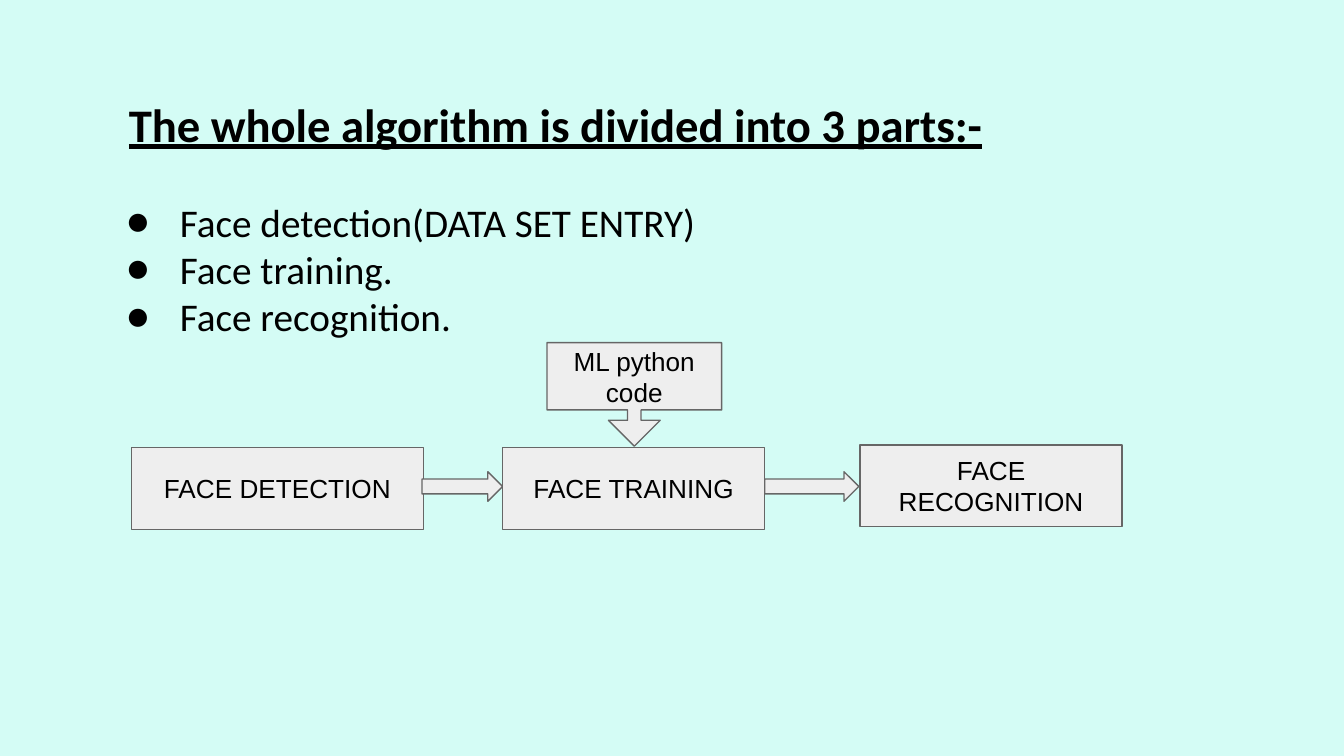
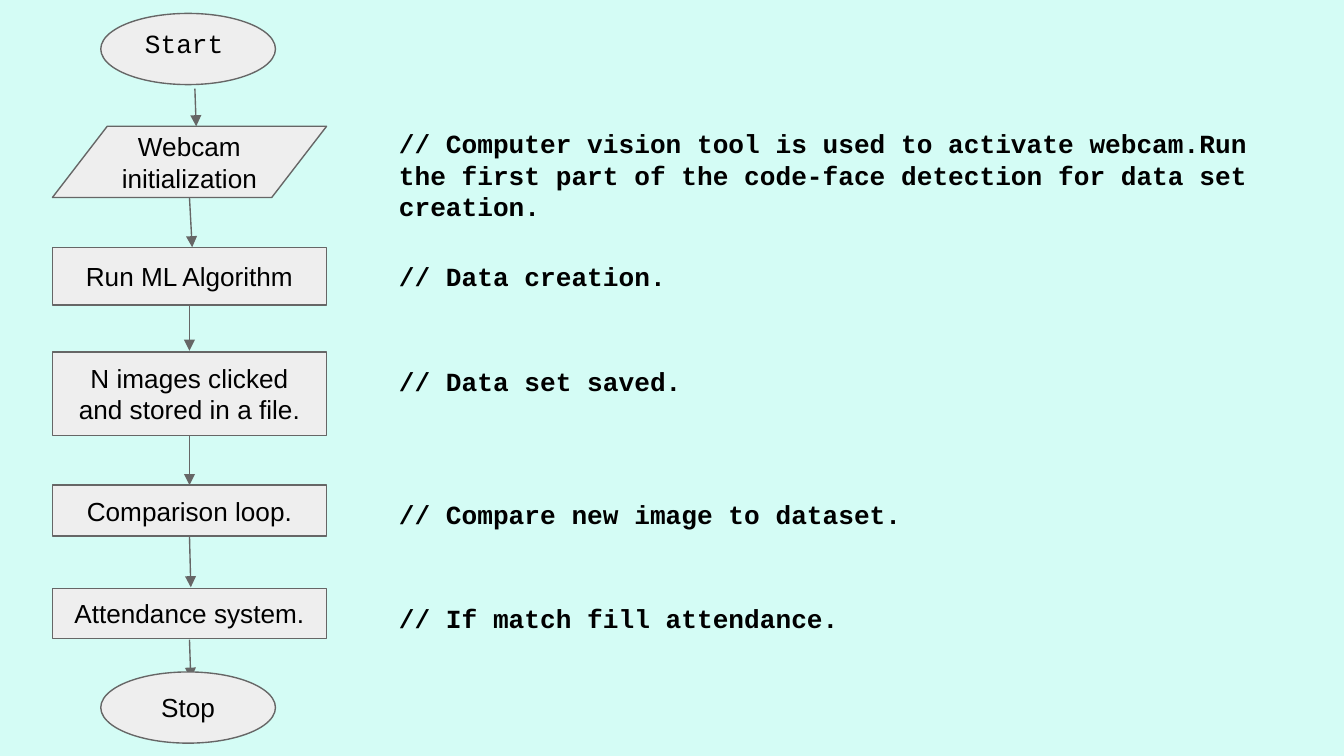
from dataclasses import dataclass
from typing import Any, Optional

from lxml import etree
from pptx import Presentation
from pptx.dml.color import RGBColor
from pptx.enum.shapes import MSO_CONNECTOR, MSO_SHAPE
from pptx.enum.text import MSO_ANCHOR, PP_ALIGN
from pptx.oxml.ns import qn
from pptx.slide import Slide
from pptx.text.text import TextFrame
from pptx.util import Inches, Pt

RECT = MSO_SHAPE.RECTANGLE
OVAL = MSO_SHAPE.OVAL
DATA = MSO_SHAPE.FLOWCHART_DATA
RIGHT_ARROW = MSO_SHAPE.RIGHT_ARROW
CALLOUT = MSO_SHAPE.DOWN_ARROW_CALLOUT
STRAIGHT = MSO_CONNECTOR.STRAIGHT
TOP, MIDDLE = MSO_ANCHOR.TOP, MSO_ANCHOR.MIDDLE
LEFT, CENTER = PP_ALIGN.LEFT, PP_ALIGN.CENTER

MINT = RGBColor(0xD4, 0xFC, 0xF5)
PALE_GREY = RGBColor(0xEE, 0xEE, 0xEE)
DARK_GREY = RGBColor(0x66, 0x66, 0x66)
BLACK = RGBColor(0x00, 0x00, 0x00)

SLIDE_WIDTH = Inches(10)
SLIDE_HEIGHT = SLIDE_WIDTH * 9 // 16
LINE_WIDTH = Pt(0.75)
INSET = Inches(0.1)
LABEL = {"name": "Arial", "size": Pt(14)}
CODE = {"name": "Courier New", "size": Pt(14)}
COMMENT = {**CODE, "bold": True}
HEADING = {"name": "Calibri", "size": Pt(25), "bold": True, "underline": True}
BULLET = {"name": "Calibri", "size": Pt(21)}


@dataclass(frozen=True)
class Box:
    """A place on the slide, in inches."""

    left: float
    top: float
    width: float
    height: float

    def lengths(self) -> list[int]:
        """Return left, top, width and height as lengths."""
        return [Inches(n) for n in (self.left, self.top, self.width, self.height)]


@dataclass(frozen=True)
class Block:
    """A filled shape of a diagram with an optional label."""

    box: Box
    label: str = ""
    kind: MSO_SHAPE = RECT
    adjustments: tuple[float, ...] = ()


@dataclass(frozen=True)
class Arrow:
    """A downward arrow, in inches, with its sideways drift."""

    left: float
    top: float
    bottom: float
    drift: float = 0


@dataclass(frozen=True)
class Step:
    """A flowchart step, with the arrow out of it and its comment."""

    block: Block
    arrow: Optional[Arrow] = None
    comment: str = ""
    comment_top: float = 0
    comment_height: float = 0


TITLE = "The whole algorithm is divided into 3 parts:-"
PARTS = ["Face detection(DATA SET ENTRY)", "Face training.", "Face recognition."]
PIPELINE = [
    Block(Box(0.98, 3.33, 2.17, 0.61), "FACE DETECTION"),
    Block(Box(3.14, 3.51, 0.6, 0.22), kind=RIGHT_ARROW),
    Block(Box(3.74, 3.33, 1.95, 0.61), "FACE TRAINING"),
    Block(Box(5.69, 3.51, 0.7, 0.22), kind=RIGHT_ARROW),
    Block(Box(6.4, 3.31, 1.95, 0.61), "FACE RECOGNITION"),
    Block(Box(4.07, 2.55, 1.3, 0.77), "ML python code", CALLOUT, (0.13, 0.25, 0.25, 0.65)),
]


def stage(top: float, height: float, label: str, kind: MSO_SHAPE = RECT) -> Block:
    """Return a flowchart block in the main column."""
    return Block(Box(0.39, top, 2.04, height), label, kind)


def terminal(top: float, label: str = "") -> Block:
    """Return a start or stop oval."""
    return Block(Box(0.75, top, 1.3, 0.53), label, OVAL)


FLOW = [
    Step(terminal(0.1), Arrow(1.45, 0.66, 0.94, 0.01)),
    Step(stage(0.94, 0.53, "Webcam initialization", DATA), Arrow(1.41, 1.47, 1.84, 0.02),
         "// Computer vision tool is used to activate webcam.Run the first part "
         "of the code-face detection for data set creation.", 0.85, 0.82),
    Step(stage(1.84, 0.43, "Run ML Algorithm"), Arrow(1.41, 2.27, 2.61),
         "// Data creation.", 1.84, 0.62),
    Step(stage(2.62, 0.62, "N images clicked and stored in a file."), Arrow(1.41, 3.24, 3.61),
         "// Data set saved.", 2.62, 0.62),
    Step(stage(3.61, 0.38, "Comparison loop."), Arrow(1.41, 3.99, 4.37, 0.01),
         "// Compare new image to dataset.", 3.61, 0.38),
    Step(stage(4.38, 0.37, "Attendance system."), Arrow(1.41, 4.76, 5.05, 0.01),
         "// If match fill attendance.", 4.38, 0.43),
    Step(terminal(5.0, "Stop")),
]


def apply(target: Any, values: dict[str, Any]) -> None:
    """Set each named value on the target."""
    for name, value in values.items():
        setattr(target, name, value)


def set_up_frame(frame: TextFrame, anchor: MSO_ANCHOR) -> None:
    """Give a text frame its insets, wrapping and anchor."""
    apply(frame, {
        "word_wrap": True, "vertical_anchor": anchor,
        "margin_left": INSET, "margin_right": INSET,
        "margin_top": INSET, "margin_bottom": INSET,
    })


def write(paragraph: Any, words: str, style: dict[str, Any], align: PP_ALIGN = LEFT) -> None:
    """Write one styled run into a paragraph."""
    paragraph.alignment = align
    run = paragraph.add_run()
    run.text = words
    apply(run.font, style)
    run.font.color.rgb = BLACK


def indent(paragraph: Any, margin: float, first: float = 0) -> Any:
    """Set the paragraph's margin and first-line indent and return its properties."""
    properties = paragraph._p.get_or_add_pPr()
    properties.set("marL", str(Inches(margin)))
    properties.set("indent", str(Inches(first)))
    return properties


def add_bullet(paragraph: Any) -> None:
    """Give a paragraph a round black bullet and a hanging indent."""
    properties = indent(paragraph, 0.5, -0.4)
    colour = etree.SubElement(properties, qn("a:buClr"))
    etree.SubElement(colour, qn("a:srgbClr")).set("val", str(BLACK))
    etree.SubElement(properties, qn("a:buFont")).set("typeface", BULLET["name"])
    etree.SubElement(properties, qn("a:buChar")).set("char", "●")


def add_text(slide: Slide, box: Box) -> TextFrame:
    """Add an empty text box and return its frame."""
    frame = slide.shapes.add_textbox(*box.lengths()).text_frame
    set_up_frame(frame, TOP)
    return frame


def set_line(line: Any) -> None:
    """Give an outline the shared colour and width."""
    line.color.rgb = DARK_GREY
    line.width = LINE_WIDTH


def draw_block(slide: Slide, block: Block) -> None:
    """Draw a diagram block with its label."""
    shape = slide.shapes.add_shape(block.kind, *block.box.lengths())
    shape.shadow.inherit = False
    shape.fill.solid()
    shape.fill.fore_color.rgb = PALE_GREY
    set_line(shape.line)
    for index, value in enumerate(block.adjustments):
        shape.adjustments[index] = value
    if block.label:
        set_up_frame(shape.text_frame, MIDDLE)
        write(shape.text_frame.paragraphs[0], block.label, LABEL, CENTER)


def draw_arrow(slide: Slide, arrow: Arrow) -> None:
    """Draw a thin arrow pointing down."""
    connector = slide.shapes.add_connector(
        STRAIGHT, Inches(arrow.left), Inches(arrow.top),
        Inches(arrow.left + arrow.drift), Inches(arrow.bottom))
    set_line(connector.line)
    outline = connector.line._get_or_add_ln()
    etree.SubElement(outline, qn("a:tailEnd")).set("type", "triangle")
    etree.SubElement(connector._element.spPr, qn("a:effectLst"))


def add_slide(deck: Any) -> Slide:
    """Add a blank slide with the shared background."""
    slide = deck.slides.add_slide(deck.slide_layouts[6])
    slide.background.fill.solid()
    slide.background.fill.fore_color.rgb = MINT
    return slide


def build_overview(deck: Any) -> None:
    """Build the slide with the three parts and their pipeline."""
    slide = add_slide(deck)
    frame = add_text(slide, Box(0.74, 0.61, 8.51, 4.41))
    heading = frame.paragraphs[0]
    write(heading, TITLE, HEADING)
    indent(heading, 0.12)
    heading.space_after = Pt(25)
    for part in PARTS:
        paragraph = frame.add_paragraph()
        write(paragraph, part, BULLET)
        add_bullet(paragraph)
    for block in PIPELINE:
        draw_block(slide, block)


def build_flowchart(deck: Any) -> None:
    """Build the slide with the flowchart and its comments."""
    slide = add_slide(deck)
    for step in FLOW:
        draw_block(slide, step.block)
        if step.arrow:
            draw_arrow(slide, step.arrow)
        if step.comment:
            box = Box(2.87, step.comment_top, 6.97, step.comment_height)
            write(add_text(slide, box).paragraphs[0], step.comment, COMMENT)
    start = add_text(slide, Box(0.98, 0.1, 0.99, 0.28))
    write(start.paragraphs[0], "Start", CODE)


def main() -> None:
    """Build and save the deck."""
    deck = Presentation()
    apply(deck, {"slide_width": SLIDE_WIDTH, "slide_height": SLIDE_HEIGHT})
    build_overview(deck)
    build_flowchart(deck)
    deck.save("out.pptx")


if __name__ == "__main__":
    main()
